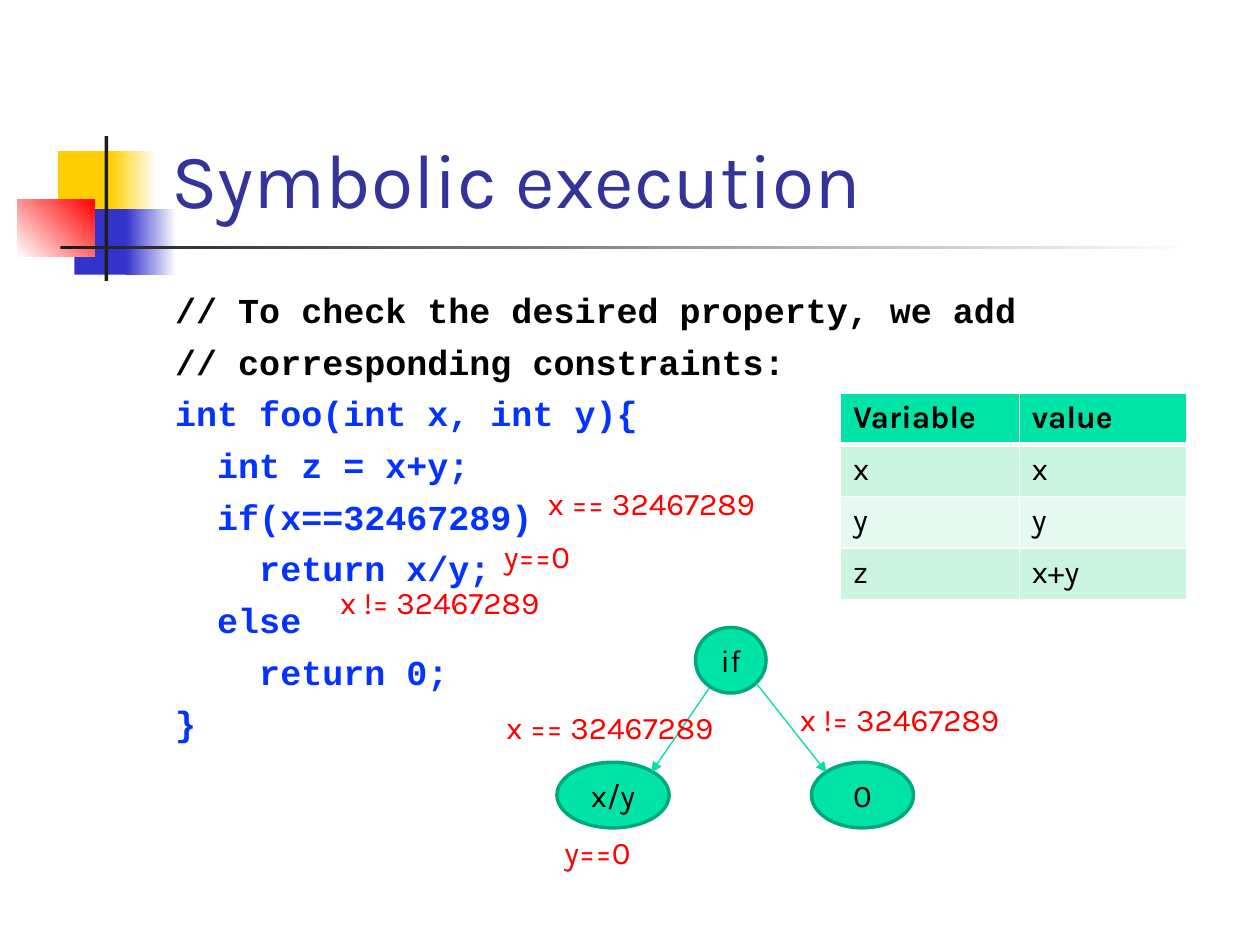
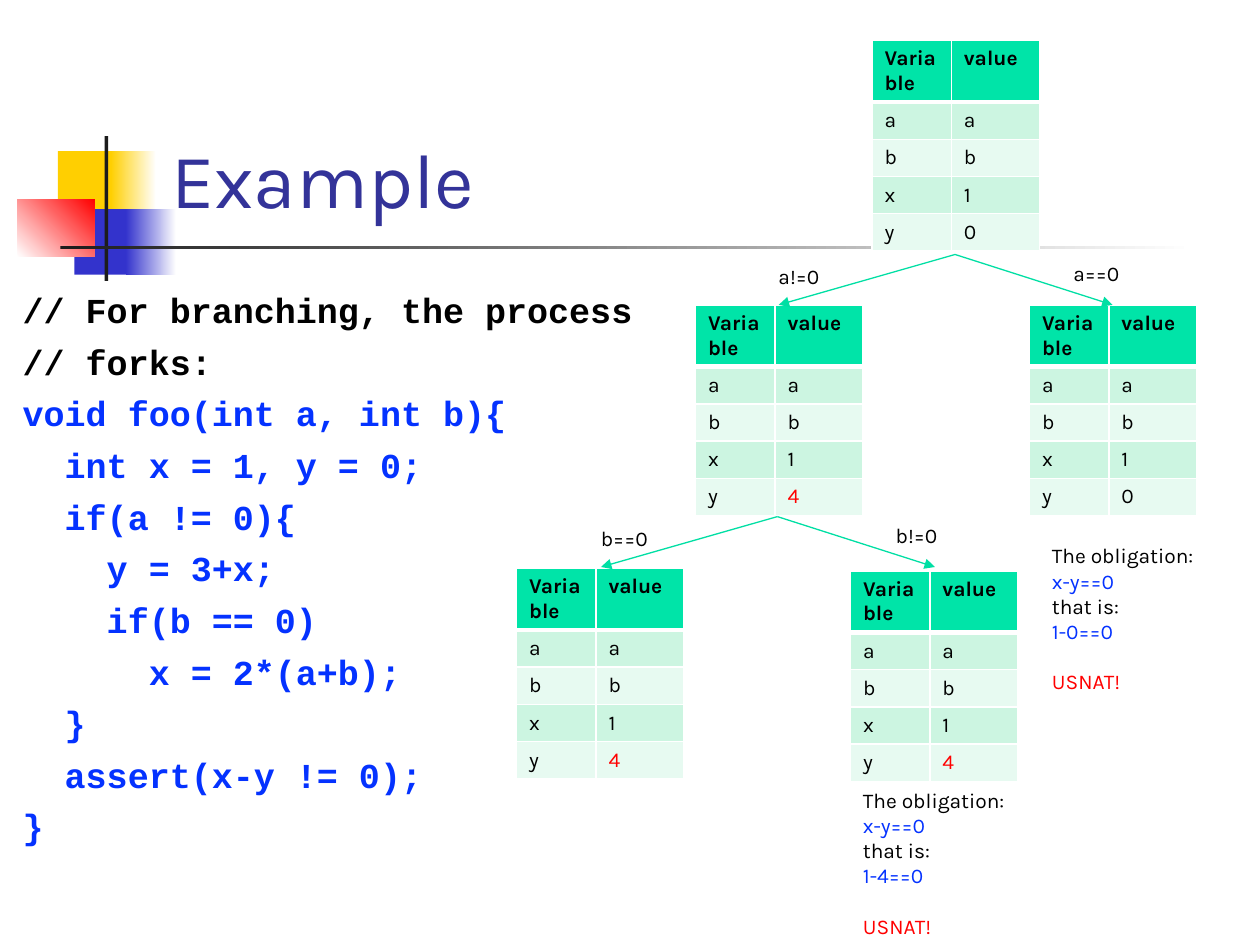
from dataclasses import dataclass
from typing import NamedTuple, Sequence

from lxml import etree
from pptx import Presentation
from pptx import util as u
from pptx.dml.color import RGBColor
from pptx.enum import shapes, text
from pptx.oxml import ns

PX = 9144  # EMU per px, 100 px to the inch
BODY_FONT, CODE_FONT = "Karla", "Courier New"
COLORS = {
    "title": "333399", "text": "000000", "code": "0432FF", "alert": "FF0000",
    "yellow": "FFCF01", "blue": "3333CC", "red": "FF0000", "dark": "1C1C1C",
    "white": "FFFFFF", "green": "00E4A8", "outline": "00A97C", "arrow": "00DFA4",
    "odd_row": "CCF5E1", "even_row": "E7FAF1",
}


class Box(NamedTuple):
    left: int
    top: int
    width: int
    height: int

    def emu(self) -> list[int]:
        return [value * PX for value in self]


class Line(NamedTuple):
    text: str
    color: str = "text"


@dataclass
class Block:
    """A rectangle of the corner motif; with `end` it fades from `start`."""
    box: Box
    start: str
    end: str = ""
    angle: int = 0


@dataclass
class Label:
    text: str
    left: int
    top: int


@dataclass
class Node:
    text: str
    box: Box


@dataclass
class TableStyle:
    columns: tuple[int, ...]
    header_height: int
    row_height: int
    frame_height: int
    size: int


@dataclass
class StateTable:
    """Variable values of one process; red marks the changed ones."""
    left: int
    top: int
    rows: Sequence[tuple[str, str]]
    changed: str = ""


@dataclass
class Fork:
    x: int
    y: int
    left_label: str
    right_label: str


MOTIF = [
    Block(Box(46, 120, 48, 52), "yellow"),
    Block(Box(88, 120, 36, 52), "yellow", "white"),
    Block(Box(59, 166, 46, 52), "blue"),
    Block(Box(100, 166, 40, 52), "blue", "white"),
    Block(Box(14, 158, 61, 46), "white", "red", 45),
    Block(Box(83, 108, 3, 115), "dark"),
    Block(Box(48, 195, 900, 3), "dark", "white"),
]
TITLE_BOX = Box(126, 23, 852, 160)
LARGE_TABLE = TableStyle((142, 133), 41, 41, 162, 18)
SMALL_TABLE = TableStyle((63, 70), 25, 15, 170, 12)

SYMBOLIC_COMMENT = ["// To check the desired property, we add",
                    "// corresponding constraints:"]
SYMBOLIC_CODE = """int foo(int x, int y){
  int z = x+y;
  if(x==32467289)
    return x/y;
  else
    return 0;
}"""
SYMBOLIC_STATE = StateTable(667, 312, [("x", "x"), ("y", "y"), ("z", "x+y")])
CONSTRAINTS = [
    Label("x == 32467289", 425, 379),
    Label("x != 32467289", 260, 458),
    Label("x == 32467289", 392, 557),
    Label("x != 32467289", 625, 551),
    Label("y==0", 390, 421),
    Label("y==0", 438, 656),
]
NODES = [
    Node("if", Box(552, 498, 56, 52)),
    Node("x/y", Box(442, 605, 89, 52)),
    Node("0", Box(644, 605, 81, 52)),
]
BRANCHES = [((563, 546), (517, 613)), ((600, 542), (656, 613))]

FORK_COMMENT = ["// For branching, the process", "// forks:"]
FORK_CODE = """void foo(int a, int b){
  int x = 1, y = 0;
  if(a != 0){
    y = 3+x;
    if(b == 0)
      x = 2*(a+b);
  }
  assert(x-y != 0);
}"""
START = [("a", "a"), ("b", "b"), ("x", "1"), ("y", "0")]
UPDATED = START[:3] + [("y", "4")]
PROCESS_STATES = [
    StateTable(692, 32, START),
    StateTable(552, 242, UPDATED, "4"),
    StateTable(817, 242, START),
    StateTable(410, 451, UPDATED, "4"),
    StateTable(675, 453, UPDATED, "4"),
]
FORKS = [Fork(758, 202, "a!=0", "a==0"), Fork(617, 410, "b==0", "b!=0")]
OBLIGATIONS = [Label("1-0==0", 825, 426), Label("1-4==0", 675, 620)]


def rgb(name: str) -> RGBColor:
    return RGBColor.from_string(COLORS[name])


def write(frame, lines: Sequence[Line], *, size: int = 18, font: str = BODY_FONT,
          bold: bool = False, align=text.PP_ALIGN.LEFT, anchor=text.MSO_ANCHOR.TOP,
          gap: float = 0, bullets_off: bool = False) -> None:
    frame.word_wrap = True
    frame.auto_size = text.MSO_AUTO_SIZE.NONE
    frame.vertical_anchor = anchor
    for index, line in enumerate(lines):
        paragraph = frame.add_paragraph() if index else frame.paragraphs[0]
        if bullets_off:
            properties = paragraph._p.get_or_add_pPr()
            properties.set("marL", "0")
            properties.set("indent", "0")
            etree.SubElement(properties, ns.qn("a:buNone"))
        paragraph.alignment = align
        paragraph.space_before = u.Pt(gap if index else 0)
        run = paragraph.add_run()
        run.text = line.text
        run.font.size, run.font.name, run.font.bold = u.Pt(size), font, bold
        run.font.color.rgb = rgb(line.color)


def add_label(slide, box: Box, lines: Sequence[Line], size: int) -> None:
    write(slide.shapes.add_textbox(*box.emu()).text_frame, lines, size=size)


def place(shape, box: Box) -> None:
    shape.left, shape.top, shape.width, shape.height = box.emu()


def add_motif(slide, layout) -> None:
    """Draws the corner motif and moves it behind the layout's placeholders."""
    for index, block in enumerate(MOTIF):
        shape = slide.shapes.add_shape(shapes.MSO_SHAPE.RECTANGLE, *block.box.emu())
        shape.shadow.inherit = False
        shape.line.fill.background()
        if block.end:
            shape.fill.gradient()
            shape.fill.gradient_angle = block.angle
            for stop, color in zip(shape.fill.gradient_stops, (block.start, block.end)):
                stop.color.rgb = rgb(color)
        else:
            shape.fill.solid()
            shape.fill.fore_color.rgb = rgb(block.start)
        shape.element.nvSpPr.cNvPr.set("id", str(100 + index))
        layout.shapes.element.insert(2 + index, shape.element)


def add_code_slide(presentation, title: str, comment: Sequence[str], code: str,
                   code_left: int):
    slide = presentation.slides.add_slide(presentation.slide_layouts[1])
    heading, body = slide.placeholders
    place(heading, TITLE_BOX)
    write(heading.text_frame, [Line(title, "title")], size=44,
          anchor=text.MSO_ANCHOR.BOTTOM)
    place(body, Box(code_left, 224, 850, 450))
    lines = [Line(row) for row in comment]
    lines += [Line(row, "code") for row in code.splitlines()]
    write(body.text_frame, lines, size=20, font=CODE_FONT, bold=True, gap=5.5,
          bullets_off=True)
    return slide


def add_border(cell, side: str, points: int) -> None:
    line = etree.SubElement(cell._tc.get_or_add_tcPr(), ns.qn(f"a:ln{side}"),
                            w=str(u.Pt(points)))
    fill = etree.SubElement(line, ns.qn("a:solidFill"))
    etree.SubElement(fill, ns.qn("a:srgbClr"), val=COLORS["white"])


def add_state_table(slide, state: StateTable, style: TableStyle) -> None:
    rows = [("Variable", "value"), *state.rows]
    box = Box(state.left, state.top, sum(style.columns), style.frame_height)
    frame = slide.shapes.add_table(len(rows), len(style.columns), *box.emu())
    table = frame.table
    for column, width in zip(table.columns, style.columns):
        column.width = width * PX
    for r, values in enumerate(rows):
        table.rows[r].height = (style.row_height if r else style.header_height) * PX
        for c, value in enumerate(values):
            cell = table.cell(r, c)
            for side in "LRTB":
                under_header = (r, side) in ((0, "B"), (1, "T"))
                add_border(cell, side, 3 if under_header else 1)
            cell.fill.solid()
            cell.fill.fore_color.rgb = rgb(
                "green" if r == 0 else "odd_row" if r % 2 else "even_row")
            color = "alert" if value == state.changed else "text"
            write(cell.text_frame, [Line(value, color)], size=style.size, bold=r == 0)
    frame.height = style.frame_height * PX


def add_arrow(slide, start: tuple[int, int], end: tuple[int, int]) -> None:
    points = [value * PX for value in (*start, *end)]
    arrow = slide.shapes.add_connector(shapes.MSO_CONNECTOR.STRAIGHT, *points)
    arrow.line.color.rgb = rgb("arrow")
    arrow.line.width = u.Pt(0.75)
    etree.SubElement(arrow.line._get_or_add_ln(), ns.qn("a:tailEnd"), type="triangle")
    etree.SubElement(arrow.element.spPr, ns.qn("a:effectLst"))


def add_node(slide, node: Node) -> None:
    shape = slide.shapes.add_shape(shapes.MSO_SHAPE.OVAL, *node.box.emu())
    shape.shadow.inherit = False
    shape.fill.solid()
    shape.fill.fore_color.rgb = rgb("green")
    shape.line.color.rgb = rgb("outline")
    shape.line.width = u.Pt(2)
    write(shape.text_frame, [Line(node.text)], align=text.PP_ALIGN.CENTER,
          anchor=text.MSO_ANCHOR.MIDDLE)


def add_fork(slide, fork: Fork) -> None:
    for reach in (-140, 125):
        add_arrow(slide, (fork.x, fork.y), (fork.x + reach, fork.y + 40))
    add_label(slide, Box(fork.x - 150, fork.y + 2, 125, 30), [Line(fork.left_label)], 12)
    add_label(slide, Box(fork.x + 84, fork.y, 125, 30), [Line(fork.right_label)], 12)


def add_obligation(slide, label: Label) -> None:
    lines = [Line("The obligation:"), Line("x-y==0", "code"),
             Line("that is:"), Line(label.text, "code")]
    add_label(slide, Box(label.left, label.top, 152, 91), lines, 12)
    add_label(slide, Box(label.left, label.top + 100, 152, 30),
              [Line("USNAT!", "alert")], 12)


def build_symbolic_execution(presentation) -> None:
    slide = add_code_slide(presentation, "Symbolic execution", SYMBOLIC_COMMENT,
                           SYMBOLIC_CODE, 129)
    add_motif(slide, slide.slide_layout)
    add_state_table(slide, SYMBOLIC_STATE, LARGE_TABLE)
    for node in NODES:
        add_node(slide, node)
    for start, end in BRANCHES:
        add_arrow(slide, start, end)
    for label in CONSTRAINTS:
        add_label(slide, Box(label.left, label.top, 275, 40),
                  [Line(label.text, "alert")], 18)


def build_fork_example(presentation) -> None:
    slide = add_code_slide(presentation, "Example", FORK_COMMENT, FORK_CODE, 8)
    for state in PROCESS_STATES:
        add_state_table(slide, state, SMALL_TABLE)
    for fork in FORKS:
        add_fork(slide, fork)
    for label in OBLIGATIONS:
        add_obligation(slide, label)


def main() -> None:
    presentation = Presentation()
    presentation.slide_width, presentation.slide_height = 1000 * PX, 750 * PX
    build_symbolic_execution(presentation)
    build_fork_example(presentation)
    presentation.save("out.pptx")


if __name__ == "__main__":
    main()
